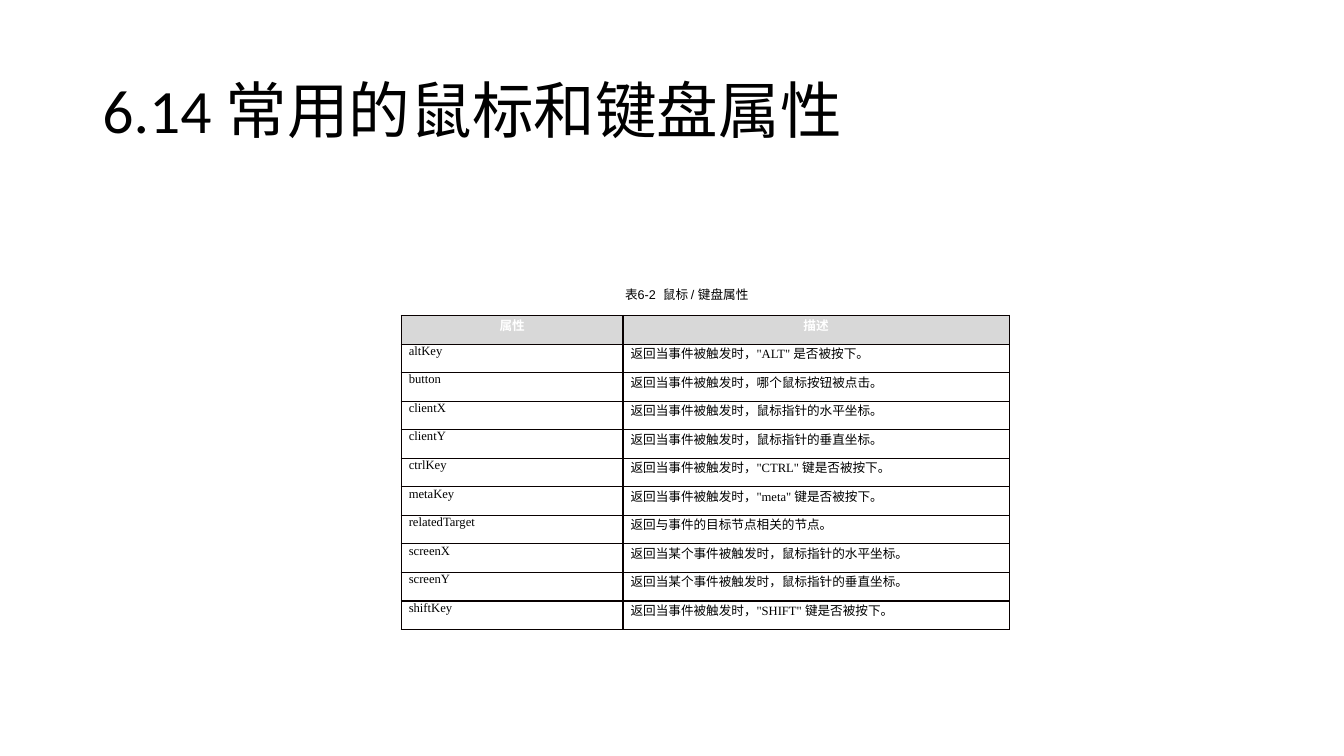
from lxml.etree import SubElement
from pptx import Presentation
from pptx.dml.color import RGBColor
from pptx.enum.text import MSO_ANCHOR, MSO_AUTO_SIZE, PP_ALIGN
from pptx.oxml.ns import qn
from pptx.util import Pt

COLORS = {"ink": "000000", "head": "FFFFFF", "fill": "D8D8D8", "rule": "080000"}
HAN = "Noto Sans CJK SC"
ROWS = [
    ("属性", "描述"),
    ("altKey", "返回当事件被触发时，\"ALT\" 是否被按下。"),
    ("button", "返回当事件被触发时，哪个鼠标按钮被点击。"),
    ("clientX", "返回当事件被触发时，鼠标指针的水平坐标。"),
    ("clientY", "返回当事件被触发时，鼠标指针的垂直坐标。"),
    ("ctrlKey", "返回当事件被触发时，\"CTRL\" 键是否被按下。"),
    ("metaKey", "返回当事件被触发时，\"meta\" 键是否被按下。"),
    ("relatedTarget", "返回与事件的目标节点相关的节点。"),
    ("screenX", "返回当某个事件被触发时，鼠标指针的水平坐标。"),
    ("screenY", "返回当某个事件被触发时，鼠标指针的垂直坐标。"),
    ("shiftKey", "返回当事件被触发时，\"SHIFT\" 键是否被按下。"),
]


def style(para, font, size, color="ink", bold=False, align=PP_ALIGN.LEFT):
    """Format a paragraph and its runs for Latin and Chinese text."""
    para.alignment = align
    for run in para.runs:
        run.font.name = font
        run.font.size = Pt(size)
        run.font.bold = bold
        run.font.color.rgb = RGBColor.from_string(COLORS[color])
        SubElement(run.font._element, qn("a:ea"), typeface=HAN)


def edge(cell):
    """Rule all four sides of a cell, ahead of its fill."""
    props = cell._tc.get_or_add_tcPr()
    for spot, side in enumerate(("a:lnL", "a:lnR", "a:lnT", "a:lnB")):
        line = SubElement(props, qn(side), w=str(Pt(1)))
        fill = SubElement(line, qn("a:solidFill"))
        SubElement(fill, qn("a:srgbClr"), val=COLORS["rule"])
        props.insert(spot, line)


def add_title(slide, left, top, width, height):
    """Place the slide title in its box."""
    title = slide.shapes.title
    title.left, title.top = Pt(left), Pt(top)
    title.width, title.height = Pt(width), Pt(height)
    frame = title.text_frame
    frame.text = "6.14 常用的鼠标和键盘属性"
    frame.vertical_anchor = MSO_ANCHOR.MIDDLE
    frame.paragraphs[0].line_spacing = 0.9
    style(frame.paragraphs[0], "Calibri", 44)


def add_label(slide, left, top, width, height):
    """Place the table caption in its box."""
    box = slide.shapes.add_textbox(Pt(left), Pt(top), Pt(width), Pt(height))
    frame = box.text_frame
    frame.word_wrap = True
    frame.auto_size = MSO_AUTO_SIZE.SHAPE_TO_FIT_TEXT
    frame.text = "表6-2  鼠标 / 键盘属性"
    para = frame.paragraphs[0]
    style(para, "Arial", 9, align=PP_ALIGN.CENTER)
    para._p.get_or_add_pPr().set("indent", str(Pt(21)))


def add_grid(slide, left, top, width, height):
    """Fill the box with the table of properties."""
    frame = slide.shapes.add_table(
        len(ROWS), 2, Pt(left), Pt(top), Pt(width), Pt(height))
    table = frame.table
    table.first_row = table.horz_banding = False
    name = 158.4
    table.columns[0].width = Pt(name)
    table.columns[1].width = Pt(width - name)
    for r, texts in enumerate(ROWS):
        table.rows[r].height = Pt(height / len(ROWS))
        for c, text in enumerate(texts):
            cell = table.cell(r, c)
            cell.margin_left = cell.margin_right = Pt(5.4)
            cell.margin_top = cell.margin_bottom = 0
            cell.text_frame.text = text
            para = cell.text_frame.paragraphs[0]
            if r == 0:
                cell.fill.solid()
                cell.fill.fore_color.rgb = RGBColor.from_string(COLORS["fill"])
                style(para, HAN, 9, "head", True, PP_ALIGN.CENTER)
            else:
                cell.fill.background()
                style(para, "Times New Roman", 9)
            edge(cell)


def main():
    """Build and save the slide."""
    deck = Presentation()
    deck.slide_width, deck.slide_height = Pt(960), Pt(540)
    slide = deck.slides.add_slide(deck.slide_layouts[5])
    add_title(slide, 66, 28.8, 828, 104.4)
    add_label(slide, 280, 201.6, 400, 18)
    add_grid(slide, 286.6, 225.4, 434.2, 224.4)
    deck.save("out.pptx")


if __name__ == "__main__":
    main()
